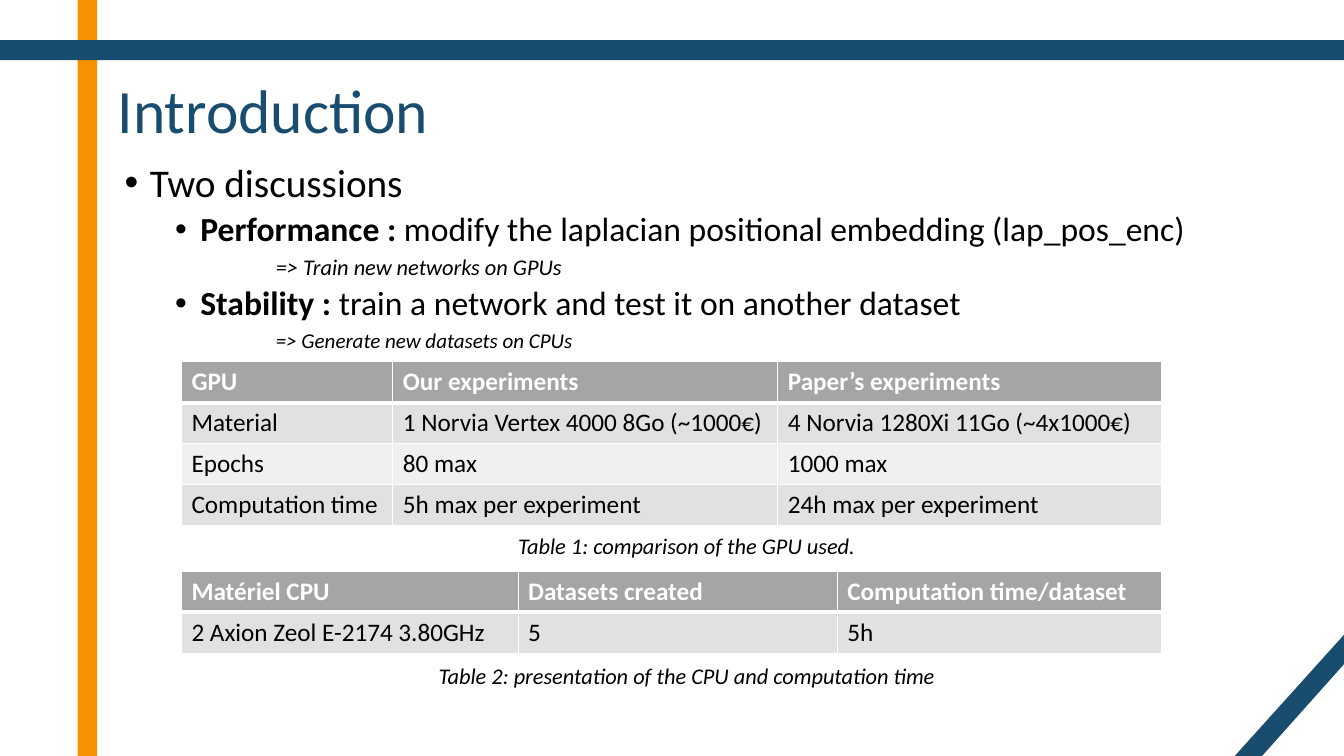
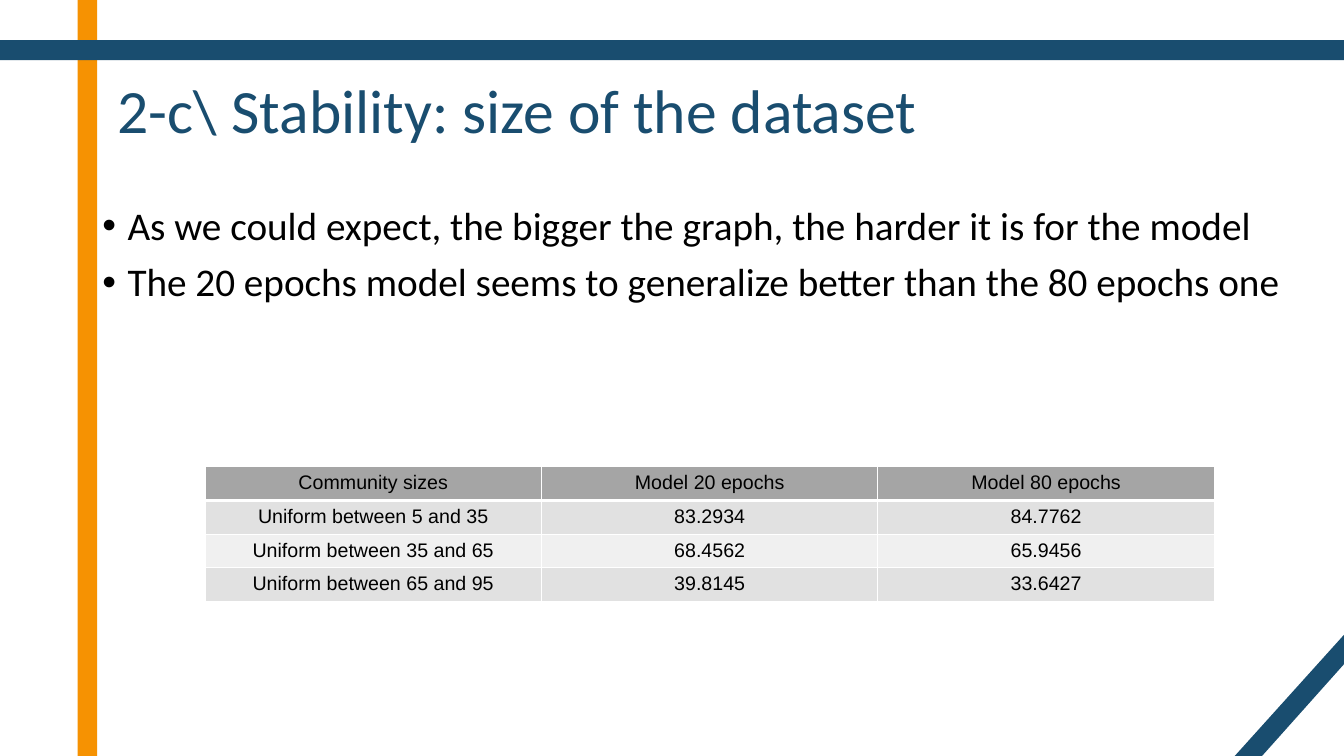
from lxml.etree import SubElement
from pptx import Presentation
from pptx.dml.color import RGBColor
from pptx.enum.shapes import MSO_SHAPE
from pptx.enum.text import MSO_ANCHOR, PP_ALIGN
from pptx.oxml.ns import qn
from pptx.util import Pt

WIDTH, HEIGHT = 960, 540
BLUE, ORANGE, BLACK, WHITE = "194D6F", "F69202", "000000", "FFFFFF"
HEADER, STRIPES = "A5A5A5", ("E1E1E1", "F0F0F0")


def rgb(value):
    return RGBColor.from_string(value)


def add_run(p, text, size=18, font="Calibri", color=BLACK, bold=False, italic=False):
    r = p.add_run()
    r.text = text
    f = r.font
    f.size, f.name, f.bold, f.italic = Pt(size), font, bold, italic
    f.color.rgb = rgb(color)


def add_box(s, left, top, width, height, anchor=MSO_ANCHOR.TOP):
    tf = s.shapes.add_textbox(Pt(left), Pt(top), Pt(width), Pt(height)).text_frame
    tf.word_wrap = True
    tf.vertical_anchor = anchor
    return tf


def add_line(s, text, left, top, width, height, align=PP_ALIGN.LEFT, **style):
    """Add one vertically centred line of text in its own box."""
    p = add_box(s, left, top, width, height, MSO_ANCHOR.MIDDLE).paragraphs[0]
    p.alignment = align
    p.line_spacing = 0.9
    add_run(p, text, **style)


def add_caption(s, text, middle):
    add_line(s, text, 82, middle - 14, 817, 28, PP_ALIGN.CENTER, size=16, italic=True)


def add_item(tf, text, level=0, lead="", **style):
    """Add a list entry: levels 0 and 1 have bullets, level 2 is a plain remark."""
    p = tf.paragraphs[0]
    if p.runs:
        p = tf.add_paragraph()
    p.line_spacing = 0.9
    p.space_before = Pt(5 if level else 10)
    pPr = p._p.get_or_add_pPr()
    pPr.set("marL", str(Pt((18, 54, 108)[level])))
    if level < 2:
        pPr.set("indent", str(Pt(-18)))
        SubElement(pPr, qn("a:buFont"), typeface="Arial")
        SubElement(pPr, qn("a:buChar"), char="•")
    if lead:
        add_run(p, lead, bold=True, **style)
    add_run(p, text, **style)


def add_borders(cell, bottom):
    tcPr = cell._tc.get_or_add_tcPr()
    for side, width in (("L", 1), ("R", 1), ("T", 1), ("B", bottom)):
        ln = SubElement(tcPr, qn(f"a:ln{side}"), w=str(Pt(width)))
        fill = SubElement(ln, qn("a:solidFill"))
        SubElement(fill, qn("a:srgbClr"), val=WHITE)


def add_table(s, rows, left, top, widths, row_height, header, align=PP_ALIGN.LEFT, **style):
    """Add a striped table; header holds the text format of the first row."""
    table = s.shapes.add_table(len(rows), len(widths), Pt(left), Pt(top),
                               Pt(sum(widths)), Pt(row_height * len(rows))).table
    for column, width in zip(table.columns, widths):
        column.width = Pt(width)
    for i, row in enumerate(rows):
        table.rows[i].height = Pt(row_height)
        for j, text in enumerate(row):
            cell = table.cell(i, j)
            add_borders(cell, 1 if i else 3)
            cell.fill.solid()
            cell.fill.fore_color.rgb = rgb(STRIPES[(i - 1) % 2] if i else HEADER)
            p = cell.text_frame.paragraphs[0]
            p.alignment = align
            add_run(p, text, **(style if i else {**style, **header}))


def paint(shape, color):
    shape.shadow.inherit = False
    shape.fill.solid()
    shape.fill.fore_color.rgb = rgb(color)
    shape.line.fill.background()


def add_band(s, left, top, width, height, color):
    paint(s.shapes.add_shape(MSO_SHAPE.RECTANGLE, Pt(left), Pt(top), Pt(width), Pt(height)), color)


def add_corner(s):
    """Add the diagonal band across the bottom right corner."""
    outline = s.shapes.build_freeform(Pt(882), Pt(HEIGHT))
    outline.add_line_segments([(Pt(x), Pt(y)) for x, y in
                               ((901.5, HEIGHT), (WIDTH, 474.5), (WIDTH, 453.5))])
    paint(outline.convert_to_shape(), BLUE)


def new_slide(prs, title):
    s = prs.slides.add_slide(prs.slide_layouts[6])
    add_band(s, 55.5, 0, 14, HEIGHT, ORANGE)
    add_band(s, 0, 28.6, WIDTH, 14.4, BLUE)
    add_corner(s)
    add_line(s, title, 77, 28.6, 828, 104.4, size=44, color=BLUE)
    return s


def introduction(prs):
    s = new_slide(prs, "Introduction")
    tf = add_box(s, 82, 113, 817, 142)
    add_item(tf, "Two discussions", size=28)
    add_item(tf, "modify the laplacian positional embedding (lap_pos_enc)", 1,
             lead="Performance : ", size=24)
    add_item(tf, "=> Train new networks on GPUs", 2, size=16, italic=True)
    add_item(tf, "train a network and test it on another dataset", 1,
             lead="Stability : ", size=24)
    add_item(tf, "=> Generate new datasets on CPUs", 2, size=15, italic=True)

    header = {"color": WHITE, "bold": True}
    gpus = [("GPU", "Our experiments", "Paper’s experiments"),
            ("Material", "1 Norvia Vertex 4000 8Go (~1000€)", "4 Norvia 1280Xi 11Go (~4x1000€)"),
            ("Epochs", "80 max", "1000 max"),
            ("Computation time", "5h max per experiment", "24h max per experiment")]
    add_table(s, gpus, 129.6, 258.5, (151, 275, 274.5), 29.2, header)
    add_caption(s, "Table 1: comparison of the GPU used.", 391)
    cpus = [("Matériel CPU", "Datasets created", "Computation time/dataset"),
            ("2 Axion Zeol E-2174 3.80GHz", "5", "5h")]
    add_table(s, cpus, 129.6, 408.2, (240.5, 228, 232), 29.2, header)
    add_caption(s, "Table 2: presentation of the CPU and computation time", 484)


def dataset_size(prs):
    s = new_slide(prs, "2-c\\ Stability: size of the dataset")
    tf = add_box(s, 66, 144, 882, 80)
    add_item(tf, "As we could expect, the bigger the graph, the harder it is for the model", size=28)
    add_item(tf, "The 20 epochs model seems to generalize better than the 80 epochs one", size=28)
    scores = [("Community sizes", "Model 20 epochs", "Model 80 epochs"),
              ("Uniform between 5 and 35", "83.2934", "84.7762"),
              ("Uniform between 35 and 65", "68.4562", "65.9456"),
              ("Uniform between 65 and 95", "39.8145", "33.6427")]
    add_table(s, scores, 146.5, 333.5, (240.3,) * 3, 23.6, {}, PP_ALIGN.CENTER,
              size=14, font="Arial")


def main():
    prs = Presentation()
    prs.slide_width, prs.slide_height = Pt(WIDTH), Pt(HEIGHT)
    introduction(prs)
    dataset_size(prs)
    prs.save("out.pptx")


if __name__ == "__main__":
    main()
